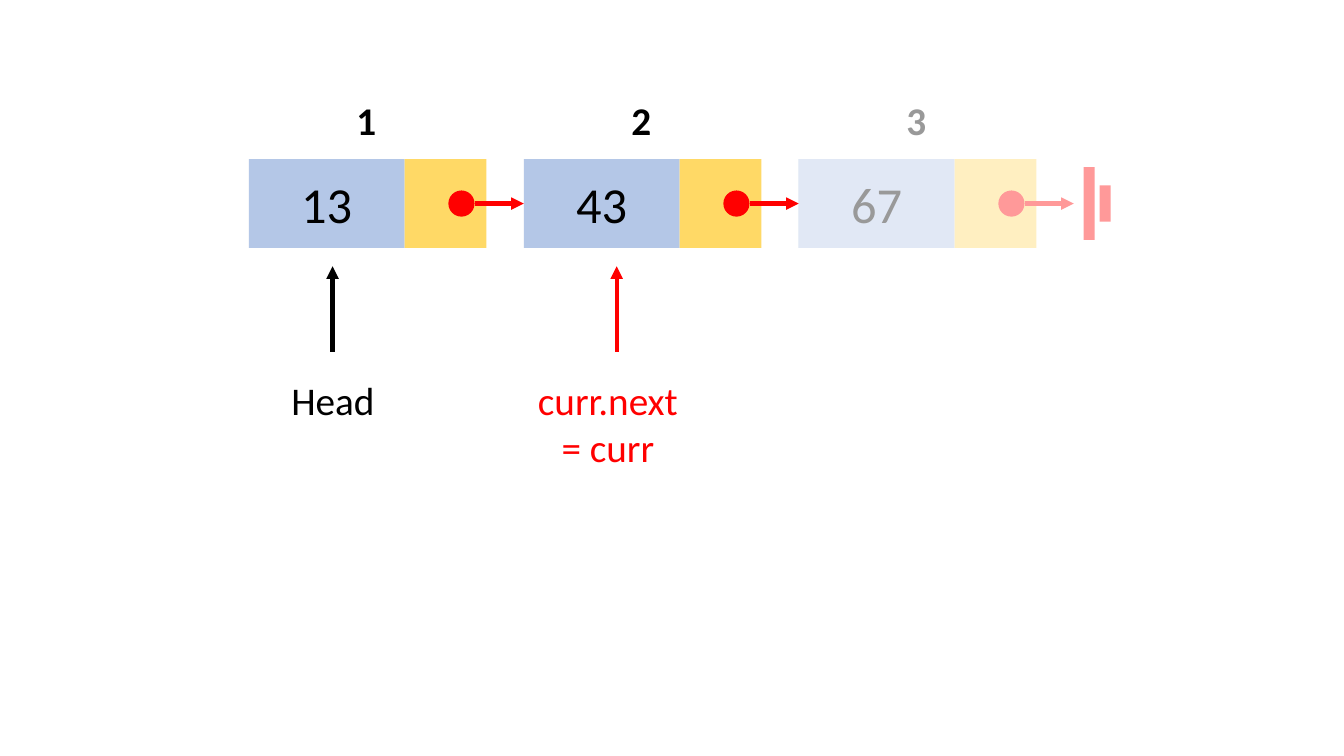
from lxml import etree
from pptx import Presentation
from pptx.dml.color import RGBColor
from pptx.enum import shapes, text
from pptx.oxml.ns import qn
from pptx.util import Cm, Pt

BLACK = RGBColor(0x00, 0x00, 0x00)
WHITE = RGBColor(0xFF, 0xFF, 0xFF)
RED = RGBColor(0xFF, 0x00, 0x00)
BLUE = RGBColor(0xB4, 0xC7, 0xE7)
YELLOW = RGBColor(0xFF, 0xD9, 0x66)
RECT = shapes.MSO_SHAPE.RECTANGLE
OVAL = shapes.MSO_SHAPE.OVAL

VALUES = ["13", "43", "67"]
NODE_X, NODE_Y, NODE_PITCH = 6.27, 4.01, 6.93
DATA_W, LINK_W, NODE_H = 3.93, 2.06, 2.24
MID_Y = NODE_Y + NODE_H / 2
DOT_DX, DOT = 5.03, 0.66


def write(sp, *lines, size=28, color=BLACK, bold=False):
    """Put one centred paragraph per line into a shape."""
    tf = sp.text_frame
    tf.word_wrap = True
    for i, line in enumerate(lines):
        p = tf.add_paragraph() if i else tf.paragraphs[0]
        p.alignment = text.PP_ALIGN.CENTER
        r = p.add_run()
        r.text = line
        r.font.name = "Calibri"
        r.font.size = Pt(size)
        r.font.bold = bold
        r.font.color.rgb = color


def add_label(s, x, y, w, h, *lines, **fmt):
    write(s.shapes.add_textbox(Cm(x), Cm(y), Cm(w), Cm(h)), *lines, **fmt)


def add_block(s, x, y, w, h, color, kind=RECT):
    sp = s.shapes.add_shape(kind, Cm(x), Cm(y), Cm(w), Cm(h))
    sp.shadow.inherit = False
    sp.fill.solid()
    sp.fill.fore_color.rgb = color
    sp.line.fill.background()
    return sp


def add_arrow(s, x1, y1, x2, y2, color):
    line = s.shapes.add_connector(shapes.MSO_CONNECTOR.STRAIGHT,
                                  Cm(x1), Cm(y1), Cm(x2), Cm(y2))
    line.line.color.rgb = color
    line.line.width = Pt(3)
    etree.SubElement(line.line._get_or_add_ln(), qn("a:tailEnd"), type="triangle")
    etree.SubElement(line._element.spPr, qn("a:effectLst"))
    return line


def add_node(s, x, index, value):
    """Draw one list node and return its data cell."""
    cell = add_block(s, x, NODE_Y, DATA_W, NODE_H, BLUE)
    write(cell, value, size=36)
    add_block(s, x + DATA_W, NODE_Y, LINK_W, NODE_H, YELLOW)
    add_block(s, x + DOT_DX, MID_Y - DOT / 2, DOT, DOT, RED, OVAL)
    add_label(s, x + 1.98, 2.31, 1.96, 1.45, str(index), bold=True)
    return cell


def add_links(s, xs, cells):
    """Point each node at the next one, and the last at the null sign."""
    for x, target in zip(xs, cells[1:] + [None]):
        arrow = add_arrow(s, x + DOT_DX + DOT, MID_Y, x + NODE_PITCH, MID_Y, RED)
        if target is not None:
            arrow.end_connect(target, 1)
    for x, h in ((27.31, 1.83), (27.71, 0.91)):
        add_block(s, x, MID_Y - h / 2, 0.28, h, RED)


def add_veil(s, x, y, w, h):
    """Fade what lies below with a translucent white block."""
    veil = add_block(s, x, y, w, h, WHITE)
    color = veil._element.spPr.find(qn("a:solidFill"))[0]
    etree.SubElement(color, qn("a:alpha"), val="60000")


def add_pointer(s, x, color):
    add_arrow(s, x, 8.86, x, 6.71, color)


def main():
    prs = Presentation()
    prs.slide_width, prs.slide_height = Cm(33.87), Cm(19.05)
    s = prs.slides.add_slide(prs.slide_layouts[6])

    xs = [NODE_X + i * NODE_PITCH for i in range(len(VALUES))]
    cells = [add_node(s, x, i, value)
             for i, (x, value) in enumerate(zip(xs, VALUES), 1)]
    add_links(s, xs, cells)
    add_veil(s, xs[2], 1.55, 9.88, 7.32)

    add_pointer(s, 8.38, BLACK)
    add_label(s, 6.43, 9.35, 3.92, 1.45, "Head")
    add_pointer(s, 15.54, RED)
    add_label(s, xs[1], 9.35, 4.24, 2.64, "curr.next", "= curr", color=RED)

    prs.save("out.pptx")


if __name__ == "__main__":
    main()
